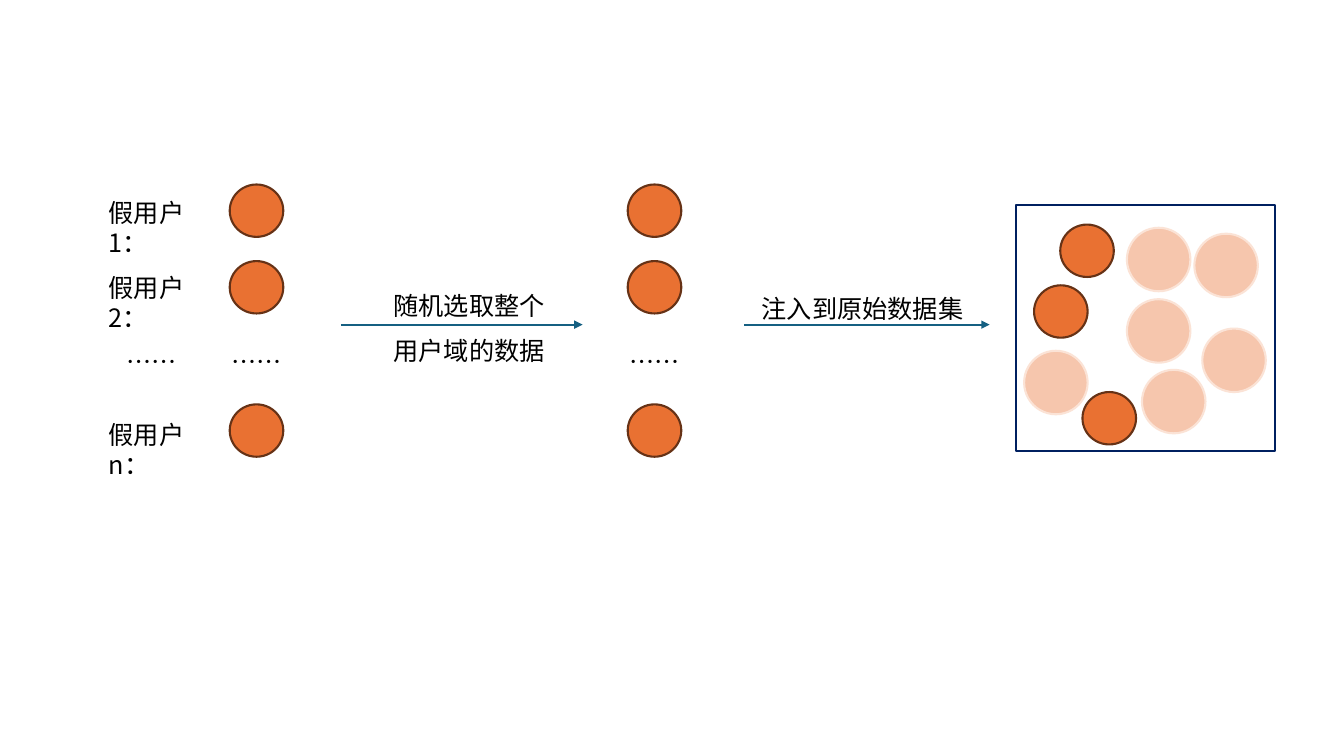
"""Build the slide on injecting fake users into a data set."""
from lxml.etree import SubElement
from pptx import Presentation
from pptx.dml.color import RGBColor
from pptx.enum.shapes import MSO_CONNECTOR, MSO_SHAPE
from pptx.enum.text import MSO_AUTO_SIZE, PP_ALIGN
from pptx.oxml.ns import qn
from pptx.util import Cm, Pt

FONT = "Noto Sans CJK SC"
BLACK = RGBColor(0x00, 0x00, 0x00)
ORANGE = RGBColor(0xE9, 0x71, 0x32)
BROWN = RGBColor(0x66, 0x32, 0x16)
PEACH = RGBColor(0xF6, 0xC6, 0xAD)
CREAM = RGBColor(0xFB, 0xE3, 0xD6)
TEAL = RGBColor(0x15, 0x60, 0x82)
NAVY = RGBColor(0x00, 0x20, 0x60)

USERS = [("假用户1：", 4.85, 4.65), ("假用户2：", 6.73, 6.58), ("假用户n：", 10.44, 10.19)]
COLUMNS = [5.79, 15.82]
DOTS = [2.9, 5.54, 15.57]
STEPS = [
    ("随机选取整个用户域的数据", (9.4, 6.81, 4.85, 2.44), 8.59, 14.68),
    ("注入到原始数据集", (18.75, 6.88, 5.97, 1.3), 18.75, 24.94),
]
FRAME = (25.6, 5.16, 6.53, 6.2)
FAKES = [(26.72, 5.66), (26.06, 7.19), (27.28, 9.88)]
REALS = [(30.1, 5.89), (28.4, 7.54), (25.81, 8.84), (30.3, 8.28), (28.4, 5.74), (28.78, 9.32)]
FAKE_SIZE = (1.35, 1.32)
REAL_SIZE = (1.6, 1.6)
ARROW_TOP = 8.18


def add_form(slide, kind, box, fill, edge):
    form = slide.shapes.add_shape(kind, *map(Cm, box))
    form.shadow.inherit = False
    if fill is None:
        form.fill.background()
    else:
        form.fill.solid()
        form.fill.fore_color.rgb = fill
    form.line.color.rgb = edge
    form.line.width = Pt(1.5)


def add_fake(slide, left, top):
    add_form(slide, MSO_SHAPE.FLOWCHART_CONNECTOR, (left, top, *FAKE_SIZE), ORANGE, BROWN)


def add_text(slide, text, box, align=PP_ALIGN.CENTER, spacing=None):
    frame = slide.shapes.add_textbox(*map(Cm, box)).text_frame
    frame.text = text
    frame.word_wrap = True
    frame.auto_size = MSO_AUTO_SIZE.SHAPE_TO_FIT_TEXT
    line = frame.paragraphs[0]
    line.alignment = align
    line.line_spacing = spacing
    font = line.runs[0].font
    font.name = FONT
    font.size = Pt(18)
    font.color.rgb = BLACK
    SubElement(line.runs[0]._r.rPr, qn("a:ea"), typeface=FONT)


def add_arrow(slide, start, end):
    ends = map(Cm, (start, ARROW_TOP, end, ARROW_TOP))
    arrow = slide.shapes.add_connector(MSO_CONNECTOR.STRAIGHT, *ends)
    arrow.line.color.rgb = TEAL
    arrow.line.width = Pt(1.5)
    SubElement(arrow.line._get_or_add_ln(), qn("a:tailEnd"), type="triangle")
    SubElement(arrow._element.spPr, qn("a:effectLst"))


def main():
    deck = Presentation()
    deck.slide_width, deck.slide_height = Cm(33.87), Cm(19.05)
    slide = deck.slides.add_slide(deck.slide_layouts[6])
    for label, label_top, top in USERS:
        add_text(slide, label, (2.49, label_top, 2.7, 1.02), PP_ALIGN.LEFT)
        for left in COLUMNS:
            add_fake(slide, left, top)
    for left in DOTS:
        add_text(slide, "……", (left, 8.61, 1.85, 1.02))
    for text, box, start, end in STEPS:
        add_arrow(slide, start, end)
        add_text(slide, text, box, spacing=1.5)
    add_form(slide, MSO_SHAPE.RECTANGLE, FRAME, None, NAVY)
    for left, top in FAKES:
        add_fake(slide, left, top)
    for spot in REALS:
        add_form(slide, MSO_SHAPE.FLOWCHART_CONNECTOR, (*spot, *REAL_SIZE), PEACH, CREAM)
    deck.save("out.pptx")


if __name__ == "__main__":
    main()
